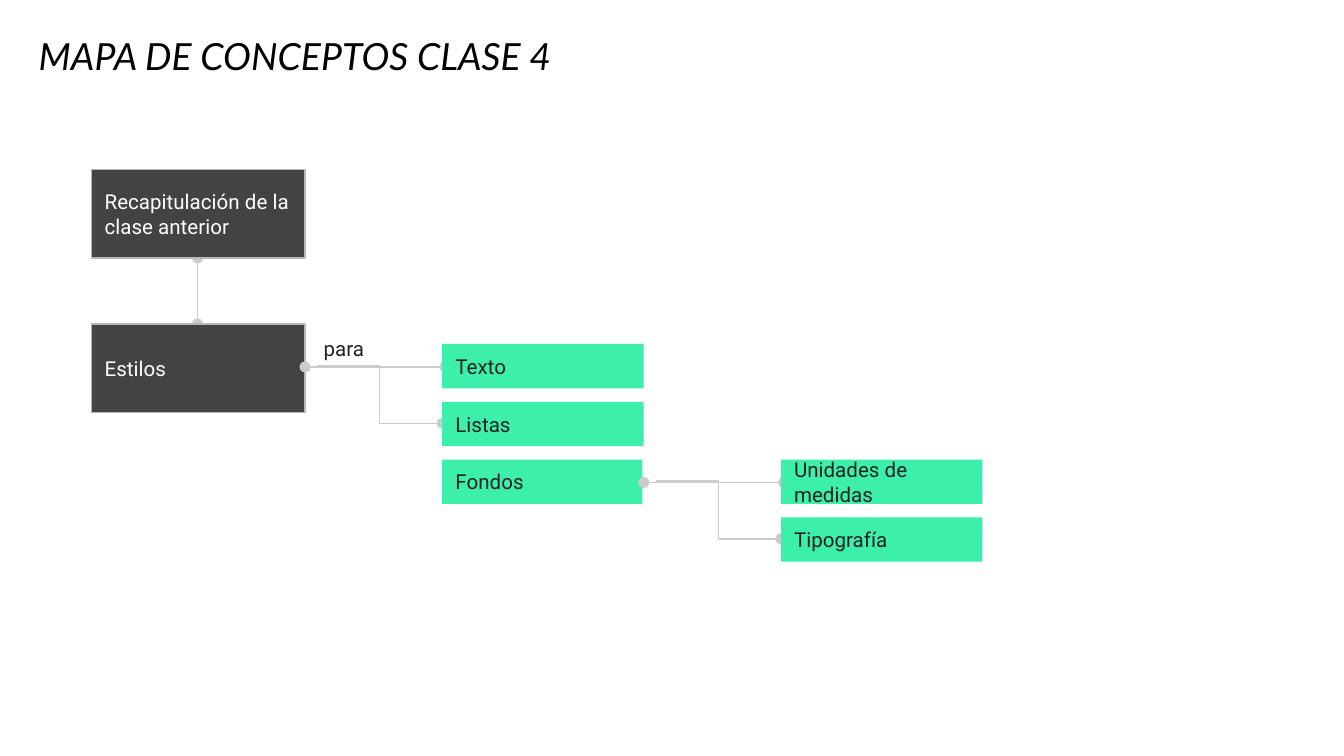
from lxml import etree
from pptx import Presentation
from pptx.dml.color import RGBColor
from pptx.enum import shapes, text
from pptx.oxml import ns
from pptx.util import Inches, Pt


def color(value):
    return RGBColor.from_string(value)


def write(frame, words, font="Roboto", size=11, ink="222222", italic=False,
          anchor=text.MSO_ANCHOR.TOP):
    frame.word_wrap = True
    frame.vertical_anchor = anchor
    frame.margin_left = frame.margin_right = Inches(0.1)
    frame.margin_top = frame.margin_bottom = Inches(0.1)
    paragraph = frame.paragraphs[0]
    paragraph.alignment = text.PP_ALIGN.LEFT
    run = paragraph.add_run()
    run.text = words
    run.font.name = font
    run.font.size = Pt(size)
    run.font.italic = italic
    run.font.color.rgb = color(ink)


class ConceptMap:
    DARK, BORDER, GREEN, LINK = "434343", "B7B7B7", "3CEFAB", "CCCCCC"
    TOPIC_SIZE = (1.59, 0.66)
    CONCEPT_WIDTH, CONCEPT_HEIGHT, CONCEPT_STEP = 1.5, 0.33, 0.43

    def __init__(self, slide):
        self.slide = slide

    def label(self, words, left, top, width, height, **style):
        area = self.slide.shapes.add_textbox(*map(Inches, (left, top, width, height)))
        write(area.text_frame, words, **style)

    def box(self, words, left, top, width, height, fill, ink, border=None):
        node = self.slide.shapes.add_shape(
            shapes.MSO_SHAPE.RECTANGLE, *map(Inches, (left, top, width, height)))
        node.shadow.inherit = False
        node.fill.solid()
        node.fill.fore_color.rgb = color(fill)
        if border:
            node.line.color.rgb = color(border)
            node.line.width = Pt(0.75)
        else:
            node.line.fill.background()
        write(node.text_frame, words, ink=ink, anchor=text.MSO_ANCHOR.MIDDLE)

    def topic(self, words, left, top):
        self.box(words, left, top, *self.TOPIC_SIZE, self.DARK, "FFFFFF", self.BORDER)

    def concept(self, words, left, top, width=CONCEPT_WIDTH):
        self.box(words, left, top, width, self.CONCEPT_HEIGHT, self.GREEN, "222222")

    def link(self, start, end, bent=False):
        """Join two points; a straight link has a dot at each end, a bent one at its end only."""
        route = shapes.MSO_CONNECTOR.ELBOW if bent else shapes.MSO_CONNECTOR.STRAIGHT
        joint = self.slide.shapes.add_connector(route, *map(Inches, (*start, *end)))
        joint.line.color.rgb = color(self.LINK)
        joint.line.width = Pt(0.75)
        outline = joint.line._get_or_add_ln()
        for tag in ("a:tailEnd",) if bent else ("a:headEnd", "a:tailEnd"):
            etree.SubElement(outline, ns.qn(tag), type="oval", w="med", len="med")
        etree.SubElement(joint._element.spPr, ns.qn("a:effectLst"))

    def branch(self, x, y, upper, lower):
        """Split from a point into two stacked concepts."""
        left, top = x + 1.02, y - 0.17
        self.link((x, y), (left + 0.02, y))
        self.concept(upper, left, top)
        self.link((x + 0.09, y - 0.01), (left, y + 0.42), bent=True)
        self.concept(lower, left, top + self.CONCEPT_STEP)


def main():
    deck = Presentation()
    deck.slide_width = Inches(10)
    deck.slide_height = deck.slide_width * 9 // 16
    concept_map = ConceptMap(deck.slides.add_slide(deck.slide_layouts[6]))

    concept_map.label("MAPA DE CONCEPTOS CLASE 4", 0.19, 0.22, 8.26, 0.46, font="Lato",
                      size=20, ink="000000", italic=True, anchor=text.MSO_ANCHOR.BOTTOM)
    concept_map.link((1.47, 1.92), (1.47, 2.41))
    concept_map.topic("Estilos", 0.68, 2.41)
    concept_map.topic("Recapitulación de la clase anterior", 0.68, 1.26)
    concept_map.branch(2.27, 2.73, "Texto", "Listas")
    concept_map.concept("Fondos", 3.29, 3.42, width=1.49)
    concept_map.label("para", 2.31, 2.41, 0.56, 0.43)
    concept_map.branch(4.79, 3.59, "Unidades de medidas", "Tipografía")
    deck.save("out.pptx")


if __name__ == "__main__":
    main()
